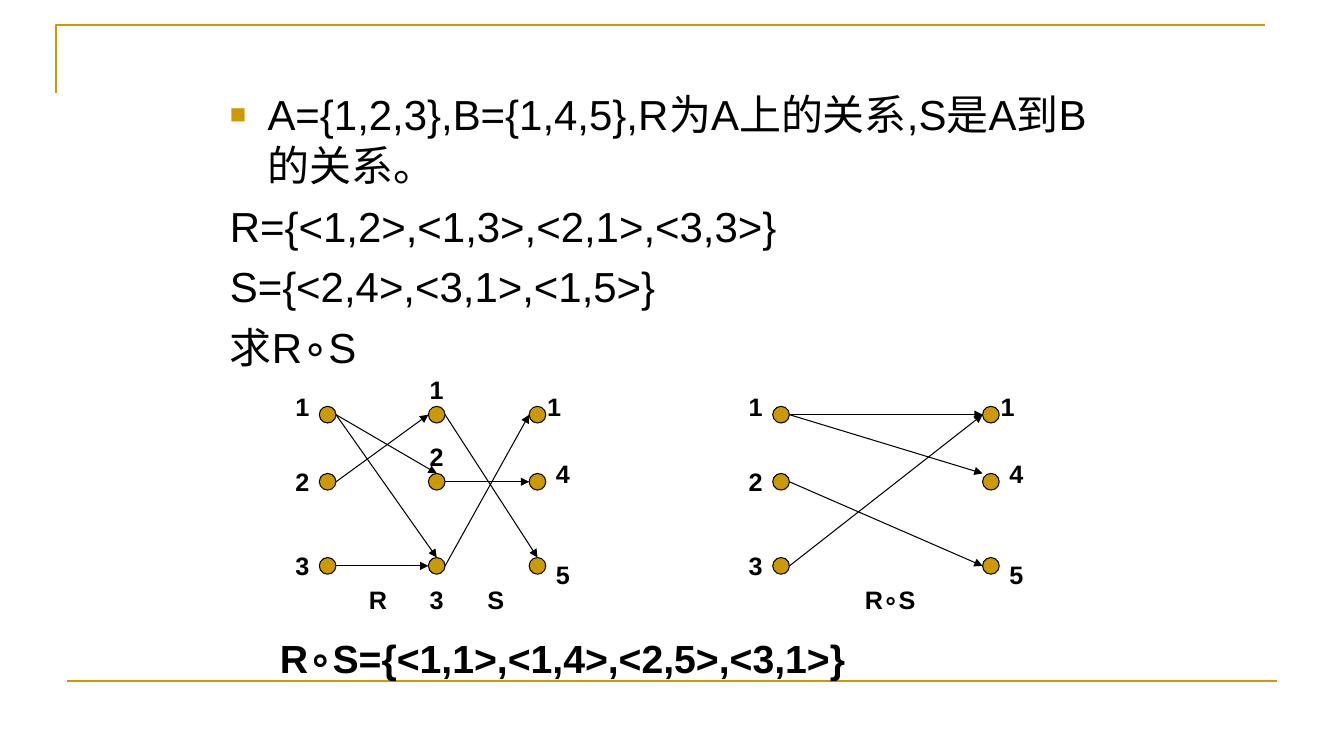
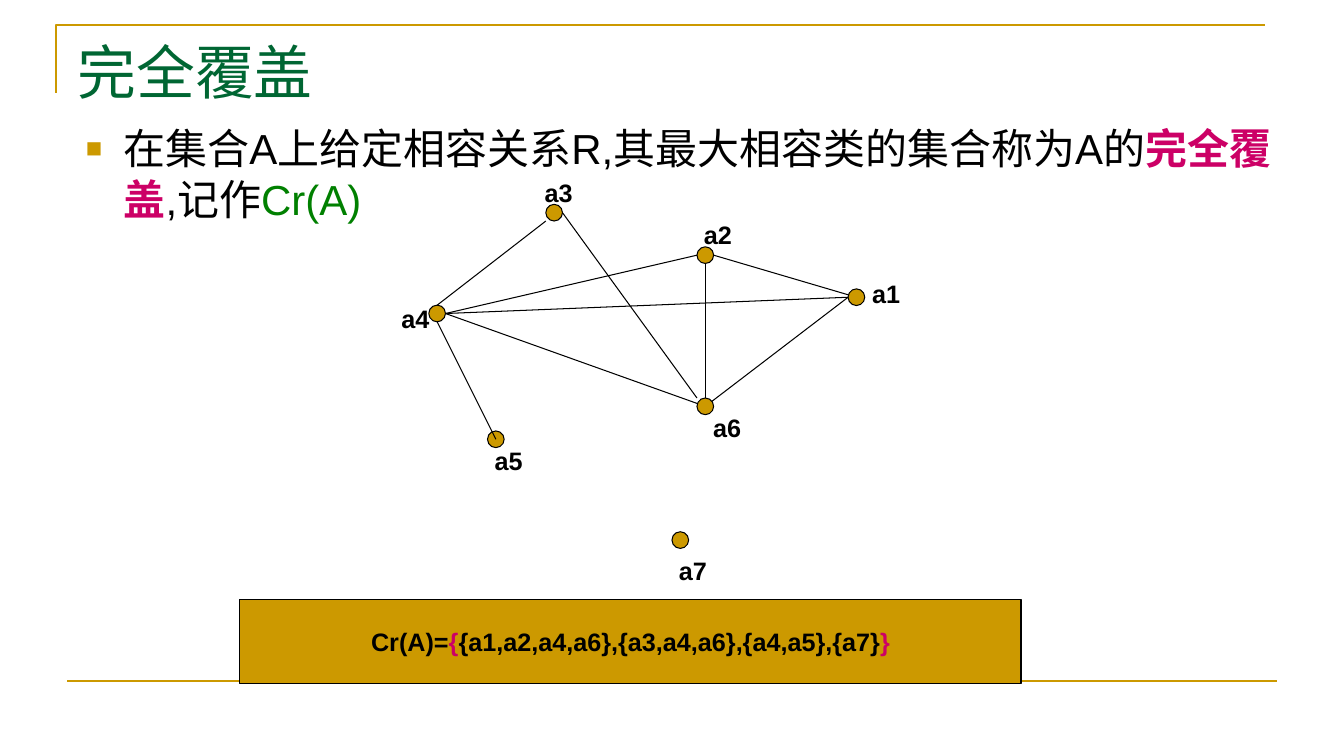
from lxml import etree
from pptx import Presentation, util as u
from pptx.dml.color import RGBColor
from pptx.enum import shapes, text
from pptx.oxml.ns import qn

Cm, Pt = u.Cm, u.Pt
GOLD = RGBColor(0xCC, 0x99, 0x00)
BLACK = RGBColor(0, 0, 0)
PINK = RGBColor(0xCC, 0x00, 0x66)
GREEN = RGBColor(0x00, 0x80, 0x00)
PINE = RGBColor(0x00, 0x66, 0x33)

DOT = 0.21
ROWS = (0, 1.69, 3.81)
LEFT = (("1", -0.64, -0.21), ("2", -0.64, 0), ("3", -0.64, 0))
MID = (("1", 0, -0.64), ("2", 0, -0.64), ("3", 0, 0.85))
RIGHT = (("1", 0.42, -0.21), ("4", 0.64, -0.21), ("5", 0.64, 0.21))
SIDE, TOP, EDGE, CORE = (-1, 0), (0, -1), (1, 0), (0, 0)
CORNER, FOOT = (-1, -1), (0, 1)

NODES = {
    "a1": (12.09, 3.89, 0.75, -0.1),
    "a2": (8.28, 2.83, 0.32, -0.53),
    "a3": (4.47, 1.76, 0.11, -0.51),
    "a4": (1.52, 4.3, -0.55, 0.13),
    "a5": (3, 7.47, 0.32, 0.53),
    "a6": (8.28, 6.64, 0.55, 0.53),
    "a7": (7.65, 10.01, 0.32, 0.76),
}
EDGES = (
    ("a4", TOP, "a3", (-1, 1)),
    ("a3", EDGE, "a6", CORNER),
    ("a4", FOOT, "a5", CORE),
    ("a4", EDGE, "a2", SIDE),
    ("a2", EDGE, "a1", CORE),
    ("a2", FOOT, "a6", CORE),
    ("a4", EDGE, "a1", SIDE),
    ("a6", CORE, "a1", SIDE),
    ("a4", EDGE, "a6", CORE),
)
FRONT = ("a1", "a6")


def add_run(par, words, size, color=BLACK, bold=False, face="Arial"):
    run = par.add_run()
    run.text = words
    run.font.name = face
    run.font.size = Pt(size)
    run.font.bold = bold
    run.font.color.rgb = color


def place(item, box):
    item.left, item.top, item.width, item.height = map(Cm, box)


def center(item, runs, size):
    frame = item.text_frame
    frame.word_wrap = False
    frame.vertical_anchor = text.MSO_ANCHOR.MIDDLE
    par = frame.paragraphs[0]
    par.alignment = text.PP_ALIGN.CENTER
    for words, color in runs:
        add_run(par, words, size, color, True)


def label(tree, x, y, words, size=18, w=1.27, h=1.27):
    item = tree.add_textbox(Cm(x - w / 2), Cm(y - h / 2), Cm(w), Cm(h))
    center(item, [(words, BLACK)], size)


def solid(tree, kind, box):
    item = tree.add_shape(kind, *map(Cm, box))
    item.shadow.inherit = False
    item.fill.solid()
    item.fill.fore_color.rgb = GOLD
    item.line.color.rgb = BLACK
    item.line.width = Pt(0.75)
    return item


def dot(tree, x, y):
    solid(tree, shapes.MSO_SHAPE.OVAL, (x - DOT, y - DOT, 2 * DOT, 2 * DOT))


def line(tree, start, end, color=BLACK, width=0.75, arrow=False):
    item = tree.add_connector(
        shapes.MSO_CONNECTOR.STRAIGHT, *map(Cm, (*start, *end)))
    item.line.color.rgb = color
    item.line.width = Pt(width)
    props = item.element.spPr
    if arrow:
        tail = etree.SubElement(props.find(qn("a:ln")), qn("a:tailEnd"))
        tail.set("type", "triangle")
    etree.SubElement(props, qn("a:effectLst"))
    return item


def shift(point, side):
    return point[0] + side[0] * DOT, point[1] + side[1] * DOT


def frame(deck, slide):
    pen = slide.shapes.build_freeform(Cm(1.42), Cm(2.34), scale=1.0)
    pen.add_line_segments(
        [(Cm(1.42), Cm(0.64)), (Cm(31.9), Cm(0.64))], close=False)
    bend = pen.convert_to_shape()
    bend.shadow.inherit = False
    bend.fill.background()
    bend.line.color.rgb = GOLD
    bend.line.width = Pt(1.5)
    base = line(slide.shapes, (1.7, 17.15), (32.18, 17.15), GOLD, 1.5)
    for num, item in enumerate((bend, base), 20):
        item.element.xpath(".//p:cNvPr")[0].set("id", str(num))
        deck.slide_master.shapes.element.insert(2, item.element)


def title(slide, words, box):
    item = slide.shapes.title
    place(item, box)
    item.text_frame.vertical_anchor = text.MSO_ANCHOR.TOP
    item.text_frame.auto_size = text.MSO_AUTO_SIZE.NONE
    par = item.text_frame.paragraphs[0]
    par.alignment = text.PP_ALIGN.LEFT
    add_run(par, words, 42, PINE, face="Times New Roman")


def bullet(par, shown):
    props = par._p.get_or_add_pPr()
    props.set("marL", str(Cm(0.95)))
    props.set("indent", str(-Cm(0.95)))
    if not shown:
        etree.SubElement(props, qn("a:buNone"))
        return
    color = etree.SubElement(props, qn("a:buClr"))
    etree.SubElement(color, qn("a:srgbClr")).set("val", str(GOLD))
    etree.SubElement(props, qn("a:buSzPct")).set("val", "65000")
    etree.SubElement(props, qn("a:buFont")).set("typeface", "Arial")
    etree.SubElement(props, qn("a:buChar")).set("char", "■")


def body(slide, pars, box):
    item = slide.placeholders[1]
    place(item, box)
    area = item.text_frame
    area.auto_size = text.MSO_AUTO_SIZE.NONE
    for num, runs in enumerate(pars):
        par = area.add_paragraph() if num else area.paragraphs[0]
        bullet(par, num == 0)
        par.space_before = Pt(7.5 if num else 0)
        for words, *style in runs:
            add_run(par, words, 30, *style)


def relation(slide, x, y, cols, arrows, notes):
    tree = slide.shapes.add_group_shape().shapes
    for dx, names in cols:
        for dy, (name, right, down) in zip(ROWS, names):
            dot(tree, x + dx, y + dy)
            label(tree, x + dx + right, y + dy + down, name)
    for col, row, goal, side in arrows:
        start = x + cols[col][0], y + ROWS[row]
        end = x + cols[col + 1][0], y + ROWS[goal]
        line(tree, shift(start, EDGE), shift(end, side), arrow=True)
    for dx, words in notes:
        label(tree, x + dx, y + 4.65, words, w=2.54)


def network(slide, x, y):
    tree = slide.shapes.add_group_shape().shapes
    spots = {name: (x + n[0], y + n[1]) for name, n in NODES.items()}
    for name, spot in spots.items():
        if name not in FRONT:
            dot(tree, *spot)
    for one, out, two, into in EDGES:
        line(tree, shift(spots[one], out), shift(spots[two], into))
    for name in FRONT:
        dot(tree, *spots[name])
    for name, (left, top, right, down) in NODES.items():
        label(tree, x + left + right, y + top + down, name, w=1.9, h=2.34)


def compose(slide):
    title_box = slide.shapes.title.element
    title_box.getparent().remove(title_box)
    body(slide, [
        [("A={1,2,3},B={1,4,5},R为A上的关系,S是A到B的关系。",)],
        [("R={<1,2>,<1,3>,<2,1>,<3,3>}",)],
        [("S={<2,4>,<3,1>,<1,5>}",)],
        [("求R∘S",)],
    ], (5.54, 2.11, 22.86, 14.99))
    relation(
        slide, 8.26, 10.45, ((0, LEFT), (2.75, MID), (5.29, RIGHT)),
        ((0, 0, 1, TOP), (0, 0, 2, TOP), (0, 1, 0, SIDE), (0, 2, 2, SIDE),
         (1, 1, 1, SIDE), (1, 2, 0, SIDE), (1, 0, 2, TOP)),
        ((1.27, "R"), (4.24, "S")))
    relation(
        slide, 19.69, 10.45, ((0, LEFT), (5.29, RIGHT)),
        ((0, 0, 1, CORNER), (0, 0, 0, SIDE), (0, 1, 2, SIDE),
         (0, 2, 0, SIDE)),
        ((2.75, "R∘S"),))
    label(slide.shapes, 14.18, 16.57, "R∘S={<1,1>,<1,4>,<2,5>,<3,1>}",
          28, 16.71, 1.7)


def cover(slide):
    title(slide, "完全覆盖", (1.7, 0.76, 30.48, 3.18))
    body(slide, [[
        ("在集合A上给定相容关系R,其最大相容类的集合称为A的",),
        ("完全覆盖", PINK, True),
        (",记作",),
        ("Cr(A)", GREEN),
    ]], (1.91, 2.97, 30.48, 4.45))
    bar = solid(slide.shapes, shapes.MSO_SHAPE.RECTANGLE,
                (6.05, 15.11, 19.69, 2.11))
    center(bar, [
        ("Cr(A)=", BLACK),
        ("{", PINK),
        ("{a1,a2,a4,a6},{a3,a4,a6},{a4,a5},{a7}", BLACK),
        ("}", PINK),
    ], 18)
    network(slide, 9.5, 3.6)


def main():
    deck = Presentation()
    deck.slide_width, deck.slide_height = Cm(33.88), Cm(19.05)
    first, second = (
        deck.slides.add_slide(deck.slide_layouts[1]) for _ in range(2))
    frame(deck, first)
    compose(first)
    cover(second)
    deck.save("out.pptx")


if __name__ == "__main__":
    main()
